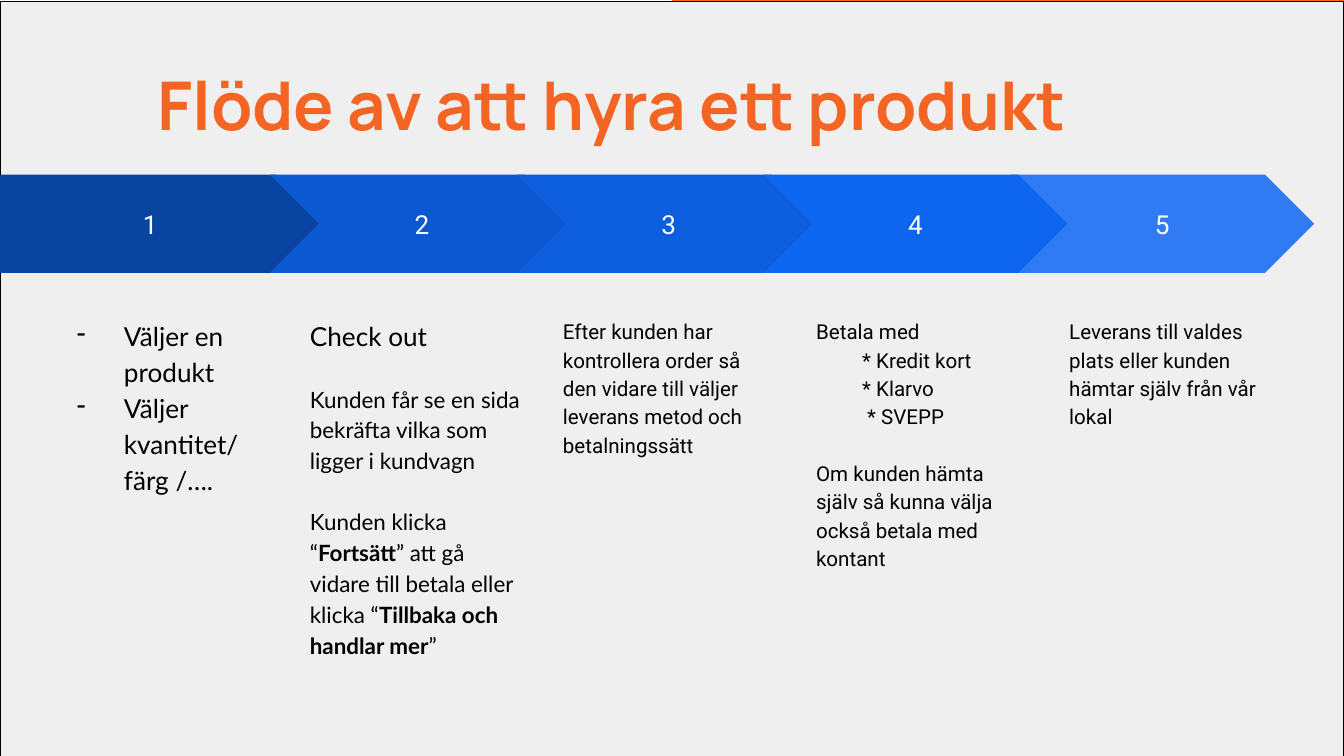
from lxml import etree
from pptx import Presentation
from pptx.dml.color import RGBColor
from pptx.enum import shapes, text
from pptx.oxml import ns
from pptx.util import Pt

ORANGE = RGBColor(0xF4, 0x65, 0x24)
GREY = RGBColor(0xEF, 0xEF, 0xEF)
BLACK = RGBColor(0, 0, 0)
WHITE = RGBColor(255, 255, 255)
NAVY = RGBColor(0x09, 0x44, 0xA1)
DEEP_BLUE = RGBColor(0x0C, 0x58, 0xD3)
MID_BLUE = RGBColor(0x0D, 0x5D, 0xDF)
BRIGHT_BLUE = RGBColor(0x0E, 0x65, 0xF0)
LIGHT_BLUE = RGBColor(0x30, 0x7B, 0xF3)

PAGE_W, PAGE_H = 720, 405
BAND_TOP, BAND_H = 93.6, 52.6
TEXT_TOP, TEXT_W = 162, 128.2


class FlowSlide:
    """Holds the slide and the style of its elements."""
    title_font = dict(name="Manrope", size=Pt(36), bold=True)
    number_font = dict(name="Roboto", size=Pt(14))

    def __init__(self, slide):
        self.slide = slide

    def set_font(self, font, color, values):
        for key, value in values.items():
            setattr(font, key, value)
        font.color.rgb = color

    def set_frame(self, frame, anchor):
        values = dict(word_wrap=True, auto_size=text.MSO_AUTO_SIZE.NONE,
                      vertical_anchor=anchor)
        values.update({f"margin_{side}": Pt(7.2)
                       for side in ("left", "top", "right", "bottom")})
        for key, value in values.items():
            setattr(frame, key, value)

    def block(self, kind, box, fill, border=None):
        block = self.slide.shapes.add_shape(kind, *map(Pt, box))
        block.shadow.inherit = False
        block.fill.solid()
        block.fill.fore_color.rgb = fill
        if border is None:
            block.line.fill.background()
        else:
            block.line.color.rgb = border
            block.line.width = Pt(0.75)
        return block

    def label(self, holder, words, anchor, color, font):
        frame = holder.text_frame
        self.set_frame(frame, anchor)
        line = frame.paragraphs[0]
        line.alignment = text.PP_ALIGN.CENTER
        run = line.add_run()
        run.text = words
        self.set_font(run.font, color, font)

    def title(self, words, box):
        heading = self.slide.shapes.title
        heading.left, heading.top, heading.width, heading.height = map(Pt, box)
        self.label(heading, words, text.MSO_ANCHOR.BOTTOM, ORANGE, self.title_font)
        # Bring the heading in front of the backdrop
        self.slide.shapes._spTree.append(heading._element)

    def arrow(self, number, kind, box, fill):
        step = self.block(kind, box, fill)
        self.label(step, str(number), text.MSO_ANCHOR.MIDDLE, WHITE, self.number_font)

    def indent(self, line, left, first=0, bullet=None):
        props = line._p.get_or_add_pPr()
        props.set("marL", str(Pt(left)))
        props.set("indent", str(Pt(first)))
        if bullet:
            color = etree.SubElement(props, ns.qn("a:buClr"))
            etree.SubElement(color, ns.qn("a:srgbClr"), val=str(BLACK))
            etree.SubElement(props, ns.qn("a:buChar"), char=bullet)

    def column(self, box, font_name, paragraphs):
        frame = self.slide.shapes.add_textbox(*map(Pt, box)).text_frame
        self.set_frame(frame, text.MSO_ANCHOR.TOP)
        for i, (size, before, indent, runs) in enumerate(paragraphs):
            line = frame.add_paragraph() if i else frame.paragraphs[0]
            if indent:
                self.indent(line, **indent)
            line.line_spacing = 1.15
            line.space_before = Pt(before)
            # Every second run is bold
            for j, words in enumerate(runs):
                run = line.add_run()
                run.text = words
                self.set_font(run.font, BLACK,
                              dict(name=font_name, size=Pt(size), bold=j % 2 == 1))


DASH = dict(left=36, first=-25.2, bullet="-")
OPTION = dict(left=24.7)

# Step number, colour, font, text height, paragraphs (size, space before, indent, runs);
# step 4 lies in front of step 5
STEPS = [
    (1, NAVY, "Lato", 185, [
        (14, 0, DASH, ["Väljer en produkt"]),
        (14, 0, DASH, ["Väljer kvantitet/ färg /…."])]),
    (2, DEEP_BLUE, "Lato", 232.6, [
        (14, 0, None, ["Check out"]),
        (12, 16, None, ["Kunden får se en sida bekräfta vilka som ligger i kundvagn"]),
        (12, 16, None, ["Kunden klicka “", "Fortsätt",
                        "” att gå vidare till betala eller klicka “",
                        "Tillbaka och handlar mer", "”"])]),
    (3, MID_BLUE, "Roboto", 185, [
        (11, 0, None, ["Efter kunden har kontrollera order så den vidare till "
                       "väljer leverans metod och betalningssätt"])]),
    (5, LIGHT_BLUE, "Roboto", 185, [
        (11, 0, None, ["Leverans till valdes plats eller kunden hämtar själv "
                       "från vår lokal"])]),
    (4, BRIGHT_BLUE, "Roboto", 185, [
        (11, 0, None, ["Betala med"]),
        (11, 0, OPTION, ["* Kredit kort"]),
        (11, 0, OPTION, ["* Klarvo"]),
        (11, 0, dict(left=27.4), ["* SVEPP"]),
        (11, 15.2, None, ["Om kunden hämta själv så kunna välja också betala "
                          "med kontant"])]),
]


def main():
    deck = Presentation()
    deck.slide_width, deck.slide_height = Pt(PAGE_W), Pt(PAGE_H)
    flow = FlowSlide(deck.slides.add_slide(deck.slide_layouts[5]))

    # Backdrop and heading
    kind = shapes.MSO_SHAPE
    flow.block(kind.RECTANGLE, (PAGE_W / 2, 0, PAGE_W / 2, PAGE_H), ORANGE)
    flow.block(kind.RECTANGLE, (0, 0.7, PAGE_W, PAGE_H), GREY, BLACK)
    flow.title("Flöde av att hyra ett produkt", (25.9, 3.6, 603.4, 80.6))

    # Arrow band with one text column under each step
    for number, color, font_name, height, paragraphs in STEPS:
        i = number - 1
        if i == 0:
            flow.arrow(number, kind.PENTAGON, (0, BAND_TOP, 174.2, BAND_H), color)
        else:
            left = 144.7 + 132.2 * (i - 1)
            flow.arrow(number, kind.CHEVRON, (left, BAND_TOP, 162.7, BAND_H), color)
        flow.column((23.3 + 135.6 * i, TEXT_TOP, TEXT_W, height), font_name, paragraphs)

    deck.save("out.pptx")


if __name__ == "__main__":
    main()
